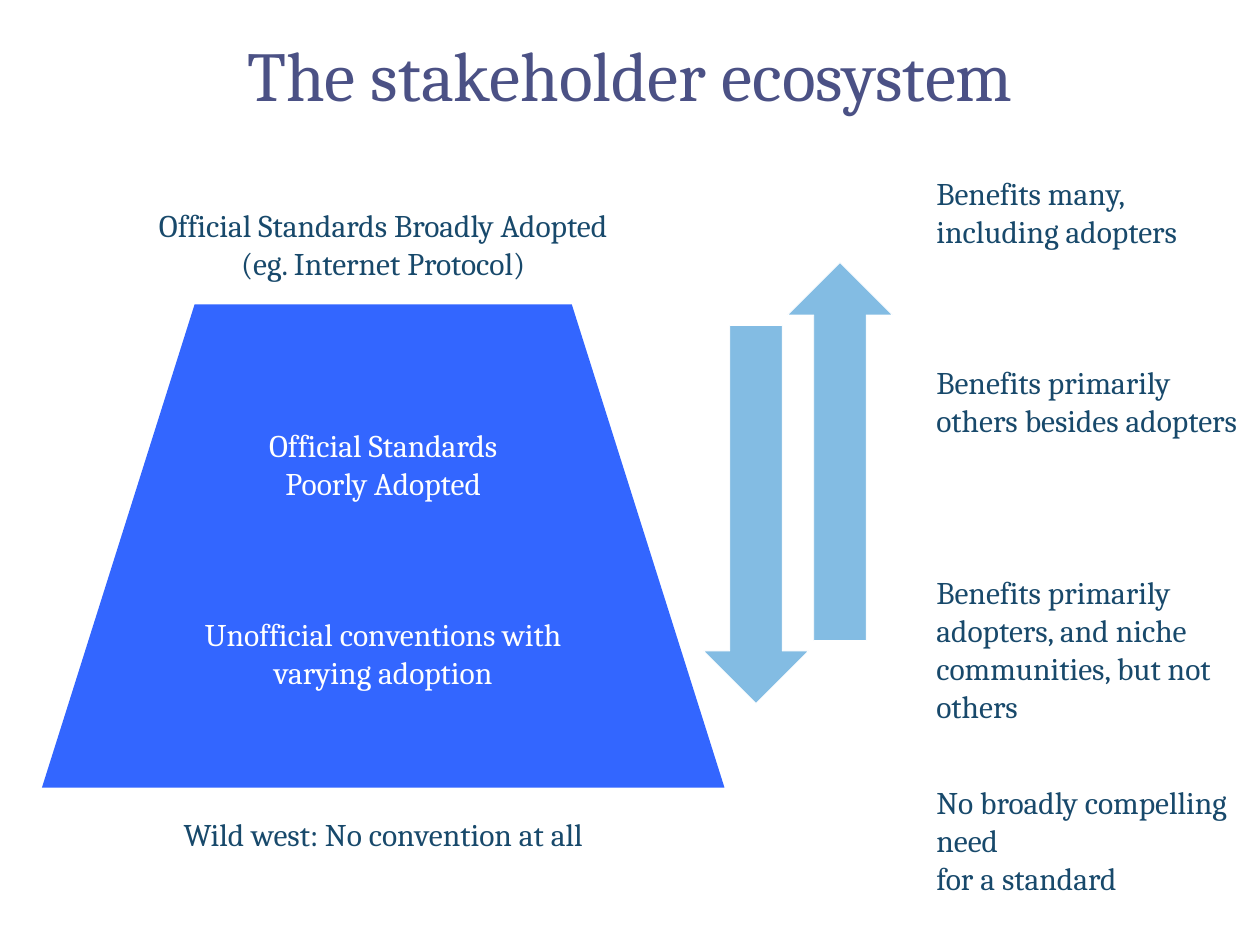
from pptx import Presentation
from pptx.dml.color import RGBColor
from pptx.enum.shapes import MSO_SHAPE
from pptx.enum.text import MSO_ANCHOR, PP_ALIGN
from pptx.util import Inches, Pt

TRAPEZOID, UP, DOWN = MSO_SHAPE.TRAPEZOID, MSO_SHAPE.UP_ARROW, MSO_SHAPE.DOWN_ARROW
LEFT, CENTER = PP_ALIGN.LEFT, PP_ALIGN.CENTER
TOP, MIDDLE = MSO_ANCHOR.TOP, MSO_ANCHOR.MIDDLE

WIDTH, HEIGHT = Inches(10), Inches(7.5)
COLUMNS, ROWS = 120, 90
COLORS = {
    "title": "4B5185",
    "text": "18496B",
    "white": "FFFFFF",
    "pyramid": "3366FF",
    "arrow": "83BCE3",
}


def color(name):
    """Return the named colour."""
    return RGBColor.from_string(COLORS[name])


def place(box):
    """Turn a box in grid columns and rows into slide lengths."""
    left, top, width, height = box
    column, row = WIDTH / COLUMNS, HEIGHT / ROWS
    return [round(v) for v in (left * column, top * row, width * column, height * row)]


def add_text(slide, box, lines, ink="text", size=18, align=LEFT, anchor=TOP, spacing=1.0):
    """Add a wrapping text box with one paragraph per line."""
    frame = slide.shapes.add_textbox(*place(box)).text_frame
    frame.word_wrap = True
    frame.vertical_anchor = anchor
    frame.text = "\n".join(lines)
    font_format = {"name": "Cambria", "size": Pt(size)}
    for paragraph in frame.paragraphs:
        paragraph.alignment = align
        paragraph.line_spacing = spacing
        for run in paragraph.runs:
            run.font.color.rgb = color(ink)
            for attribute, value in font_format.items():
                setattr(run.font, attribute, value)


def add_filled_shape(slide, kind, box, fill):
    """Add a flat preset shape without an outline."""
    shape = slide.shapes.add_shape(kind, *place(box))
    shape.shadow.inherit = False
    shape.fill.solid()
    shape.fill.fore_color.rgb = color(fill)
    shape.line.fill.background()
    return shape


def add_title(slide, box):
    """Add the slide title."""
    add_text(slide, box, ["The stakeholder ecosystem"], "title", 40, CENTER, MIDDLE, 0.9)


def add_pyramid(slide, box):
    """Add the trapezoid with its four levels of adoption."""
    left, top, width, height = box
    trapezoid = add_filled_shape(
        slide, TRAPEZOID, (left + 2, top + 10, width - 4, 46), "pyramid")
    trapezoid.adjustments[0] = 0.316
    levels = [
        (0, 57, "text", ["Official Standards Broadly Adopted", "(eg. Internet Protocol)"]),
        (21, 32, "white", ["Official Standards Poorly Adopted"]),
        (39, 39, "white", ["Unofficial conventions with", "varying adoption"]),
        (58, 69, "text", ["Wild west: No convention at all"]),
    ]
    for row, span, ink, lines in levels:
        level_box = (left + (width - span) / 2, top + row, span, 8.5)
        add_text(slide, level_box, lines, ink, align=CENTER)


def add_arrows(slide, box):
    """Add the opposing arrows, the upward one standing higher."""
    left, top, width, height = box
    arrow_width, arrow_height = 10, 36
    corners = [
        (DOWN, left, top + height - arrow_height),
        (UP, left + width - arrow_width, top),
    ]
    for kind, arrow_left, arrow_top in corners:
        arrow_box = (arrow_left, arrow_top, arrow_width, arrow_height)
        arrow = add_filled_shape(slide, kind, arrow_box, "arrow")
        arrow.line.color.rgb = color("white")
        arrow.line.width = Pt(0.5)


def add_benefits(slide, box):
    """Add the column that says who benefits at each level."""
    left, top, width, height = box
    benefits = [
        (0, 8.5, ["Benefits many, including adopters"]),
        (18, 12, ["Benefits primarily others besides adopters"]),
        (38, 16, ["Benefits primarily adopters, and niche communities, but not others"]),
        (58, 12, ["No broadly compelling need", "for a standard"]),
    ]
    for row, span, lines in benefits:
        add_text(slide, (left, top + row, width, span), lines)


def main():
    """Build and save the slide."""
    presentation = Presentation()
    presentation.slide_width, presentation.slide_height = WIDTH, HEIGHT
    slide = presentation.slides.add_slide(presentation.slide_layouts[6])
    add_title(slide, (3, 0, 114, 15))
    add_pyramid(slide, (2, 19, 69, 63))
    add_arrows(slide, (67, 25, 18, 42))
    add_benefits(slide, (88, 16, 31, 70))
    presentation.save("out.pptx")


if __name__ == "__main__":
    main()
